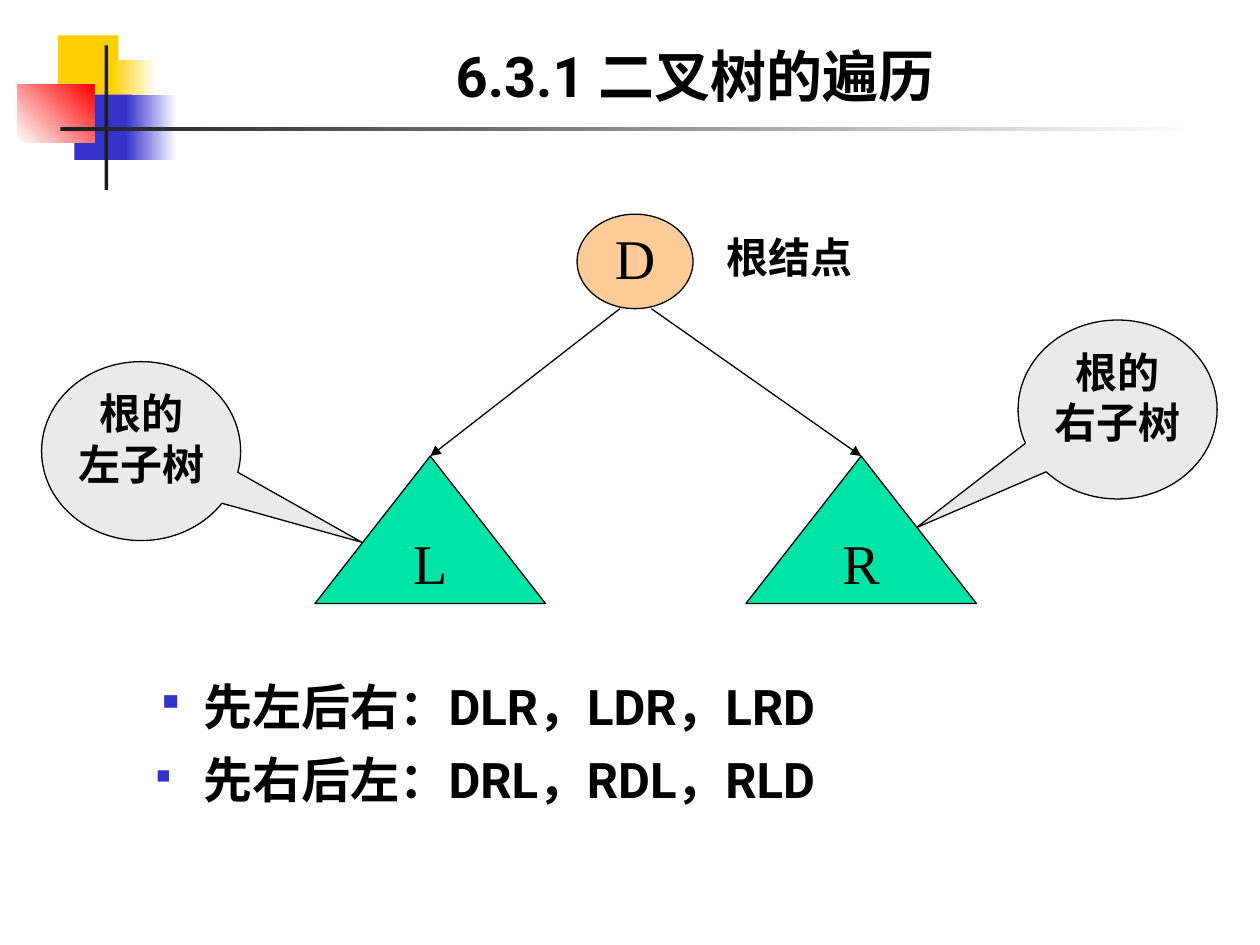
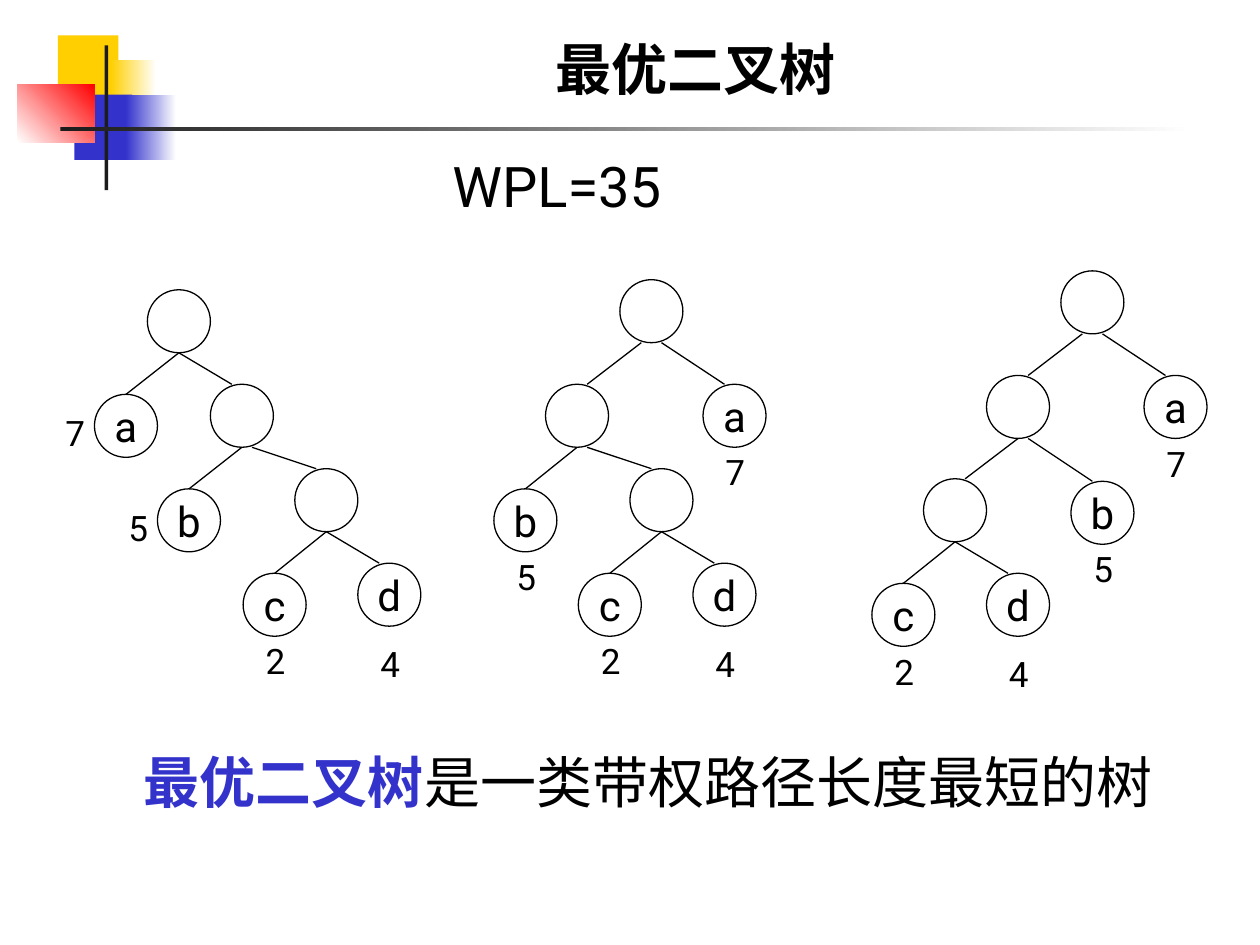
from collections import namedtuple

from lxml.etree import SubElement
from pptx import Presentation
from pptx.dml.color import RGBColor
from pptx.enum.shapes import MSO_CONNECTOR, MSO_SHAPE
from pptx.enum.text import MSO_ANCHOR, PP_ALIGN
from pptx.oxml.ns import qn
from pptx.util import Inches, Pt

BLACK, WHITE, BLUE = "000000", "FFFFFF", "3333CC"
GOLD, RED, DARK = "FFCF01", "FF0000", "1C1C1C"
PEACH, GREEN, GRAY = "FFCC99", "00E4A8", "EAEAEA"
SANS, SERIF = "Roboto", "Times New Roman"
CENTER, MIDDLE = PP_ALIGN.CENTER, MSO_ANCHOR.MIDDLE

SIZE, SHIFT = 0.5, 0.08
BESIDE, BELOW, LOWER = (-0.33, 0.09), (0.08, 0.48), (0.08, 0.58)
Leaf = namedtuple("Leaf", "x y name weight place")
Node = namedtuple("Node", "x y starts left right")


def color(code):
    """Turn a hex string into a colour."""
    return RGBColor.from_string(code)


def style(font, size, code=BLACK, bold=False, face=SANS):
    """Set the look of a font."""
    font.size, font.bold, font.name = Pt(size), bold, face
    font.color.rgb = color(code)


def write(frame, lines, size, bold=False, face=SANS, align=None, pad=(0.1, 0.05),
          anchor=MSO_ANCHOR.TOP, wrap=True, space=None):
    """Fill a text frame with one paragraph per line."""
    frame.margin_left = frame.margin_right = Inches(pad[0])
    frame.margin_top = frame.margin_bottom = Inches(pad[1])
    frame.vertical_anchor, frame.word_wrap = anchor, wrap
    for i, line in enumerate(lines):
        para = frame.add_paragraph() if i else frame.paragraphs[0]
        para.text = line
        para.alignment, para.line_spacing = align, space
        style(para.font, size, BLACK, bold, face)


def label(shapes, box, text, size, **look):
    """Add a text box."""
    frame = shapes.add_textbox(*map(Inches, box)).text_frame
    write(frame, [text], size, **look)


def draw(shapes, kind, box, fill=None, line=BLACK):
    """Add a preset shape with a flat fill or none."""
    shape = shapes.add_shape(kind, *map(Inches, box))
    shape.shadow.inherit = False
    if fill:
        shape.fill.solid()
        shape.fill.fore_color.rgb = color(fill)
    else:
        shape.fill.background()
    if line:
        shape.line.color.rgb = color(line)
        shape.line.width = Pt(0.75)
    else:
        shape.line.fill.background()
    return shape


def fade(shapes, box, start, end, angle=0):
    """Add a rectangle that fades between two colours."""
    fill = draw(shapes, MSO_SHAPE.RECTANGLE, box, start, None).fill
    fill.gradient()
    fill.gradient_angle = angle
    for stop, code in zip(fill.gradient_stops, (start, end)):
        stop.color.rgb = color(code)


def join(shapes, start, end, arrow=False):
    """Add a thin line, with an arrowhead if asked."""
    line = shapes.add_connector(MSO_CONNECTOR.STRAIGHT, *map(Inches, start + end))
    line.line.color.rgb = color(BLACK)
    line.line.width = Pt(0.75)
    if arrow:
        SubElement(line.line._get_or_add_ln(), qn("a:tailEnd"), type="triangle")
    SubElement(line._element.spPr, qn("a:effectLst"))
    return line


def base(deck, title, box):
    """Start a slide with the corner blocks, rules and title."""
    slide = deck.slides.add_slide(deck.slide_layouts[6])
    shapes, rect = slide.shapes, MSO_SHAPE.RECTANGLE
    draw(shapes, rect, (0.46, 0.28, 0.48, 0.52), GOLD, None)
    fade(shapes, (0.88, 0.48, 0.36, 0.52), GOLD, WHITE)
    draw(shapes, rect, (0.59, 0.75, 0.46, 0.52), BLUE, None)
    fade(shapes, (1, 0.75, 0.4, 0.52), BLUE, WHITE)
    fade(shapes, (0.14, 0.67, 0.61, 0.46), WHITE, RED, 45)
    draw(shapes, rect, (0.83, 0.36, 0.03, 1.15), DARK, None)
    fade(shapes, (0.48, 1.01, 9, 0.03), DARK, WHITE)
    label(shapes, box, title, 32, bold=True, align=CENTER, anchor=MSO_ANCHOR.BOTTOM)
    return shapes


def part(shapes, kind, box, fill, name):
    """Add a named part of the root diagram."""
    shape = draw(shapes, kind, box, fill)
    write(shape.text_frame, [name], 32, face=SERIF, align=CENTER,
          anchor=MIDDLE, wrap=False, space=0.9)
    return shape


def branch(shapes, left, name, start, note, side, tip):
    """Add a subtree with its arrow and callout."""
    tree = part(shapes, MSO_SHAPE.ISOSCELES_TRIANGLE, (left, 3.62, 1.83, 1.17),
                GREEN, name)
    arrow = join(shapes, (start, 2.45), (left + 0.92, 3.62), True)
    arrow.end_connect(tree, 0)
    bubble = draw(shapes, MSO_SHAPE.OVAL_CALLOUT, note + (1.58, 1.42), GRAY)
    bubble.adjustments[0], bubble.adjustments[1] = tip
    write(bubble.text_frame, ["根的", side], 24, bold=True, align=CENTER, pad=(0, 0))


def bullet(shapes, box, text, mark, scale, space=None):
    """Add one bulleted line."""
    frame = shapes.add_textbox(*map(Inches, box)).text_frame
    props = frame.paragraphs[0]._p.get_or_add_pPr()
    props.set("marL", str(Inches(0.38)))
    props.set("indent", str(-Inches(0.38)))
    SubElement(SubElement(props, qn("a:buClr")), qn("a:srgbClr"), val=BLUE)
    SubElement(props, qn("a:buSzPct"), val=str(scale * 1000))
    SubElement(props, qn("a:buChar"), char=mark)
    write(frame, [text], 28, bold=True, space=space)


def grow(shapes, tree, left, top):
    """Draw a node and, below it, its children."""
    left, top = left + tree.x, top + tree.y
    ring = draw(shapes, MSO_SHAPE.OVAL, (left, top, SIZE, SIZE))
    if isinstance(tree, Leaf):
        write(ring.text_frame, [tree.name], 24, align=CENTER, pad=(0, 0),
              anchor=MIDDLE, wrap=False)
        dx, dy = tree.place
        label(shapes, (left + dx, top + dy, 0.33, 0.44), tree.weight, 20)
        return
    mid = left + SIZE / 2
    bends = (0 if isinstance(tree.left, Leaf) else SHIFT, -SHIFT)
    for kid, start, bend in zip((tree.left, tree.right), tree.starts, bends):
        join(shapes, (mid + start, top + SIZE), (mid + kid.x + bend, top + kid.y))
        grow(shapes, kid, left, top)


def visit(deck):
    """Build the slide on visiting a binary tree."""
    shapes = base(deck, "6.3.1 二叉树的遍历", (1.26, 0.23, 8.52, 0.68))
    part(shapes, MSO_SHAPE.OVAL, (4.58, 1.7, 0.92, 0.75), PEACH, "D")
    label(shapes, (5.67, 1.79, 1.5, 0.5), "根结点", 24, bold=True)
    branch(shapes, 2.5, "L", 4.92, (0.33, 2.87), "左子树", (1.11, 0.51))
    branch(shapes, 5.92, "R", 5.17, (8.08, 2.54), "右子树", (-1.01, 0.66))
    bullet(shapes, (1.14, 5.32, 7.78, 0.62), "先左后右：DLR，LDR，LRD", "▪", 80)
    bullet(shapes, (1.14, 5.95, 8.5, 0.58), "先右后左：DRL，RDL，RLD", "■", 40, 0.9)


def best(deck):
    """Build the slide on the best binary trees."""
    shapes = base(deck, "最优二叉树", (1.26, 0.41, 8.52, 0.45))
    label(shapes, (2.42, 1.15, 4, 0.64), "WPL=35", 32, align=CENTER)
    even, skew, wide = (0, 0), (0, SHIFT), (-SHIFT, SHIFT)
    pair = Node(0.67, 0.67, even, Leaf(-0.41, 0.83, "c", "2", BELOW),
                Leaf(0.5, 0.75, "d", "4", LOWER))
    high = Leaf(0.66, 0.83, "a", "7", BELOW)
    chain = Node(0.5, 0.75, skew, Leaf(-0.42, 0.83, "b", "5", BESIDE), pair)
    bent = Node(-0.59, 0.83, skew, Leaf(-0.41, 0.83, "b", "5", BELOW), pair)
    slope = Node(-0.59, 0.83, skew, pair._replace(x=-0.5, y=0.82),
                 Leaf(0.67, 0.84, "b", "5", BELOW))
    trees = (Node(1.17, 2.3, even, Leaf(-0.42, 0.83, "a", "7", BESIDE), chain),
             Node(4.92, 2.22, wide, bent, high),
             Node(8.42, 2.15, wide, slope, high))
    for tree in trees:
        grow(shapes.add_group_shape().shapes, tree, 0, 0)
    frame = shapes.add_textbox(*map(Inches, (1.04, 5.88, 8.21, 0.64))).text_frame
    frame.word_wrap = False
    para = frame.paragraphs[0]
    para.alignment = CENTER
    for text, code, bold in (("最优二叉树", BLUE, True),
                             ("是一类带权路径长度最短的树", BLACK, False)):
        run = para.add_run()
        run.text = text
        style(run.font, 32, code, bold)


def main():
    """Build and save the deck."""
    deck = Presentation()
    deck.slide_width, deck.slide_height = Inches(10), Inches(7.5)
    visit(deck)
    best(deck)
    deck.save("out.pptx")


if __name__ == "__main__":
    main()
